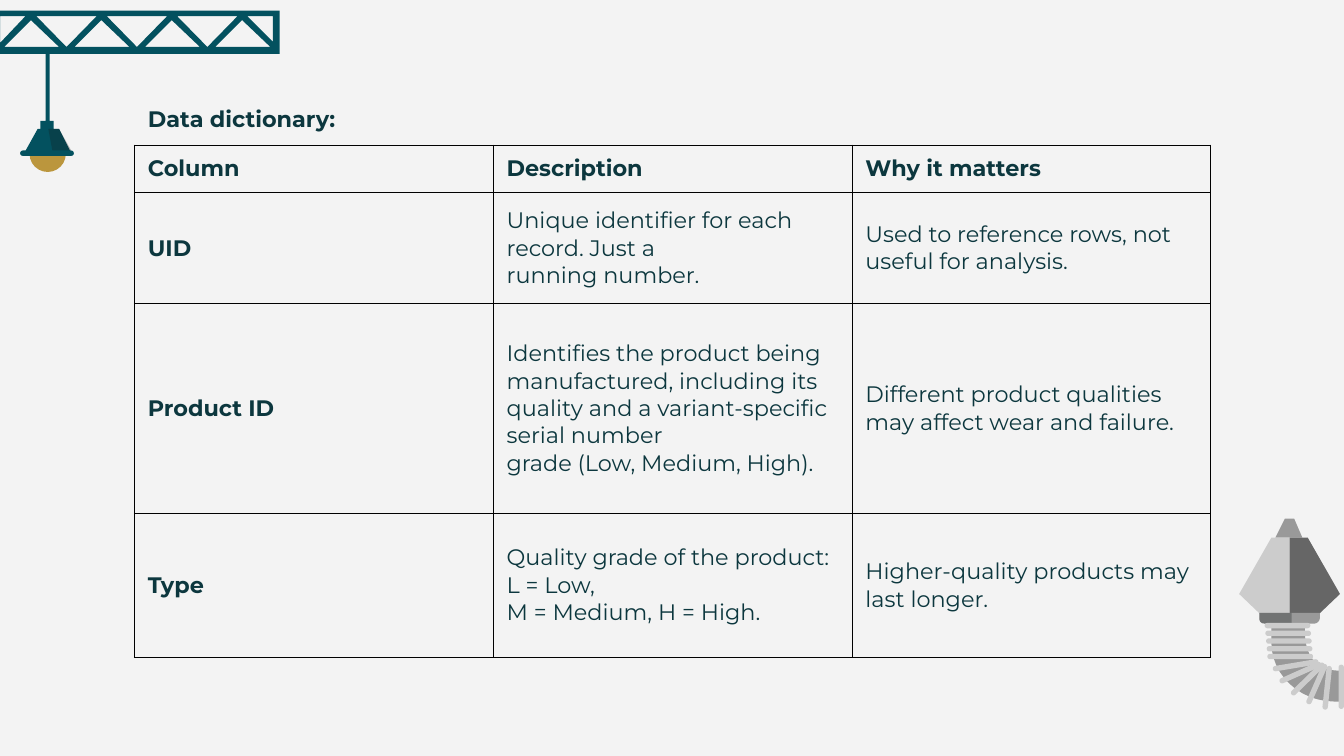
from dataclasses import dataclass
from math import atan2, degrees, hypot

from lxml import etree
from pptx import Presentation
from pptx.dml.color import RGBColor
from pptx.enum.shapes import MSO_SHAPE
from pptx.enum.text import MSO_ANCHOR, MSO_AUTO_SIZE, PP_ALIGN
from pptx.oxml.ns import qn
from pptx.util import Inches, Pt

OVAL, PILL = MSO_SHAPE.OVAL, MSO_SHAPE.ROUNDED_RECTANGLE
MIDDLE, LEFT, NO_FIT = MSO_ANCHOR.MIDDLE, PP_ALIGN.LEFT, MSO_AUTO_SIZE.NONE

PAPER = RGBColor(0xF3, 0xF3, 0xF3)
INK = RGBColor(0x0C, 0x37, 0x3E)
TEAL = RGBColor(0x03, 0x51, 0x5F)
GOLD = RGBColor(0xBB, 0x96, 0x3D)
SHADE = RGBColor(0x16, 0x1D, 0x1E)
SILVER = RGBColor(0xCC, 0xCC, 0xCC)
GREY = RGBColor(0x99, 0x99, 0x99)
DARK_GREY = RGBColor(0x66, 0x66, 0x66)
BLACK = RGBColor(0, 0, 0)

SLIDE_WIDTH = Inches(10)
SLIDE_HEIGHT = SLIDE_WIDTH * 9 // 16
GRID_COLUMNS = 1000
UNIT = SLIDE_WIDTH / GRID_COLUMNS

FONT = {"name": "Montserrat", "size": Pt(12)}
COLUMN_WIDTH = 267
ROW_HEIGHTS = [35, 83, 156, 107]
ROWS = [
    ["Column", "Description", "Why it matters"],
    ["UID", "Unique identifier for each record. Just a\nrunning number.",
     "Used to reference rows, not\nuseful for analysis."],
    ["Product ID", "Identifies the product being\nmanufactured, including its quality "
     "and a variant-specific serial number\ngrade (Low, Medium, High).",
     "Different product qualities\nmay affect wear and failure."],
    ["Type", "Quality grade of the product: L = Low,\nM = Medium, H = High.",
     "Higher-quality products may\nlast longer."],
]

Point = tuple[float, float]


@dataclass
class Outline:
    color: RGBColor
    contours: list[list[Point]]
    opacity: int = 100


@dataclass
class Ring:
    start: Point
    end: Point


def grid(value: float) -> int:
    return round(value * UNIT)


def curve(a: Point, b: Point, c: Point, d: Point, steps: int = 12) -> list[Point]:
    points = []
    for step in range(steps + 1):
        t = step / steps
        weights = ((1 - t) ** 3, 3 * t * (1 - t) ** 2, 3 * t * t * (1 - t), t ** 3)
        points.append(tuple(sum(w * p[axis] for w, p in zip(weights, (a, b, c, d)))
                            for axis in (0, 1)))
    return points


def paint(shape, color: RGBColor, opacity: int = 100) -> None:
    shape.shadow.inherit = False
    shape.fill.solid()
    shape.fill.fore_color.rgb = color
    shape.line.fill.background()
    if opacity < 100:
        tint = shape.fill._xPr.find(".//" + qn("a:srgbClr"))
        etree.SubElement(tint, qn("a:alpha"), val=str(opacity * 1000))


def draw_outline(page, outline: Outline) -> None:
    contours = [[(grid(x), grid(y)) for x, y in contour] for contour in outline.contours]
    builder = page.shapes.build_freeform(*contours[0][0])
    for index, contour in enumerate(contours):
        if index:
            builder.move_to(*contour[0])
        builder.add_line_segments(contour[1:], close=True)
    paint(builder.convert_to_shape(), outline.color, outline.opacity)


def draw_preset(page, kind, left: float, top: float, width: float, height: float,
                color: RGBColor):
    shape = page.shapes.add_shape(kind, *map(grid, (left, top, width, height)))
    if kind == PILL:
        shape.adjustments[0] = 0.5
    paint(shape, color)
    return shape


def draw_ring(page, ring: Ring, thickness: float = 4) -> None:
    (x1, y1), (x2, y2) = ring.start, ring.end
    length = hypot(x2 - x1, y2 - y1) + thickness
    shape = draw_preset(page, PILL, (x1 + x2 - length) / 2, (y1 + y2 - thickness) / 2,
                        length, thickness, SILVER)
    shape.rotation = degrees(atan2(y2 - y1, x2 - x1))


def write(para, text: str, bold: bool) -> None:
    para.text = text
    for span in para.runs:
        for name, value in {**FONT, "bold": bold}.items():
            setattr(span.font, name, value)
        span.font.color.rgb = INK
    for line_break in para._p.findall(qn("a:br")):
        etree.SubElement(line_break, qn("a:rPr"), sz=str(int(FONT["size"].pt * 100)))


def draw_border(cell) -> None:
    properties = cell._tc.get_or_add_tcPr()
    for position, side in enumerate(("lnL", "lnR", "lnT", "lnB")):
        line = etree.Element(qn(f"a:{side}"), w=str(Pt(0.5)))
        fill = etree.SubElement(line, qn("a:solidFill"))
        etree.SubElement(fill, qn("a:srgbClr"), val=str(BLACK))
        properties.insert(position, line)


def draw_table(page) -> None:
    columns = len(ROWS[0])
    table = page.shapes.add_table(len(ROWS), columns, grid(100), grid(108),
                                  grid(COLUMN_WIDTH * columns), grid(sum(ROW_HEIGHTS))).table
    for column in table.columns:
        column.width = grid(COLUMN_WIDTH)
    for row, (height, texts) in enumerate(zip(ROW_HEIGHTS, ROWS)):
        table.rows[row].height = grid(height)
        for column, text in enumerate(texts):
            cell = table.cell(row, column)
            cell.vertical_anchor = MIDDLE
            cell.fill.background()
            draw_border(cell)
            write(cell.text_frame.paragraphs[0], text, row == 0 or column == 0)


def draw_title(page) -> None:
    box = page.shapes.title
    for name, value in zip(("left", "top", "width", "height"), (100, 73, 164, 30)):
        setattr(box, name, grid(value))
    frame = box.text_frame
    for name, value in {"auto_size": NO_FIT, "word_wrap": True,
                        "vertical_anchor": MIDDLE}.items():
        setattr(frame, name, value)
    frame.paragraphs[0].alignment = LEFT
    write(frame.paragraphs[0], "Data dictionary:", True)


def draw_crane(page) -> None:
    pitch = 52.4
    beam = [[(0, 8), (208, 8), (208, 40), (0, 40)],
            [(0, 12), (19, 12), (0, 32)],
            [(184, 12), (203, 12), (203, 31)]]
    beam += [[(23 + i * pitch, 15), (44 + i * pitch, 35), (3 + i * pitch, 35)]
             for i in range(4)]
    beam += [[(27 + i * pitch, 12), (72 + i * pitch, 12), (49.5 + i * pitch, 35)]
             for i in range(3)]
    lamp = [(53, 114), (44, 96), (40, 96), (40, 90), (37, 90), (37, 40), (34, 40),
            (34, 90), (30, 90), (30, 96), (28, 96), (18, 114)]
    draw_preset(page, OVAL, 22, 101, 27, 27, GOLD)
    draw_outline(page, Outline(TEAL, [lamp]))
    draw_preset(page, PILL, 15, 112, 40, 4, TEAL)
    draw_outline(page, Outline(SHADE, [[(36, 96), (44, 96), (53, 112), (39, 112)]], 30))
    draw_outline(page, Outline(TEAL, beam))


def draw_robot_arm(page) -> None:
    middle = 959.5
    left_half = [(943, 462), (922, 442), (946, 400), (middle, 400), (middle, 460)]
    right_half = [(2 * middle - x, y) for x, y in left_half]
    hose = [*curve((993, 522), (967, 522), (946, 502), (946, 478)), (946, 464), (971, 464),
            *curve((971, 470), (971, 492), (983, 500), (1000, 499)), (1000, 522)]
    left_corner = curve((941, 464), (938, 464), (937, 462), (937, 460))
    right_corner = curve((982, 460), (982, 462), (980, 464), (978, 464))
    for outline in (
        Outline(GREY, [[(949, 400), (969, 400), (963, 386), (956, 386)]]),
        Outline(SILVER, [left_half]),
        Outline(DARK_GREY, [right_half]),
        Outline(GREY, [hose]),
        Outline(GREY, [[(982, 456), *right_corner, *left_corner, (937, 456)]]),
        Outline(SHADE, [[(961, 456), (961, 464), *left_corner, (937, 456)]], 30),
    ):
        draw_outline(page, outline)
    rings = [Ring((943 + i / 2, 465.5 + i * 5.75), (973 + i / 2, 465.5 + i * 5.75))
             for i in range(5)]
    rings += [Ring((949, 497.5), (979, 492.5)), Ring((954, 506.5), (981, 494.5)),
              Ring((962.5, 515.5), (983.5, 495)), Ring((974, 522), (985.5, 496)),
              Ring((986, 526), (989, 497.5)), Ring((998, 525.5), (998, 496.5))]
    for ring in rings:
        draw_ring(page, ring)


def main() -> None:
    deck = Presentation()
    deck.slide_width, deck.slide_height = SLIDE_WIDTH, SLIDE_HEIGHT
    page = deck.slides.add_slide(deck.slide_layouts.get_by_name("Title Only"))
    page.background.fill.solid()
    page.background.fill.fore_color.rgb = PAPER
    draw_crane(page)
    draw_robot_arm(page)
    draw_title(page)
    draw_table(page)
    deck.save("out.pptx")


if __name__ == "__main__":
    main()
